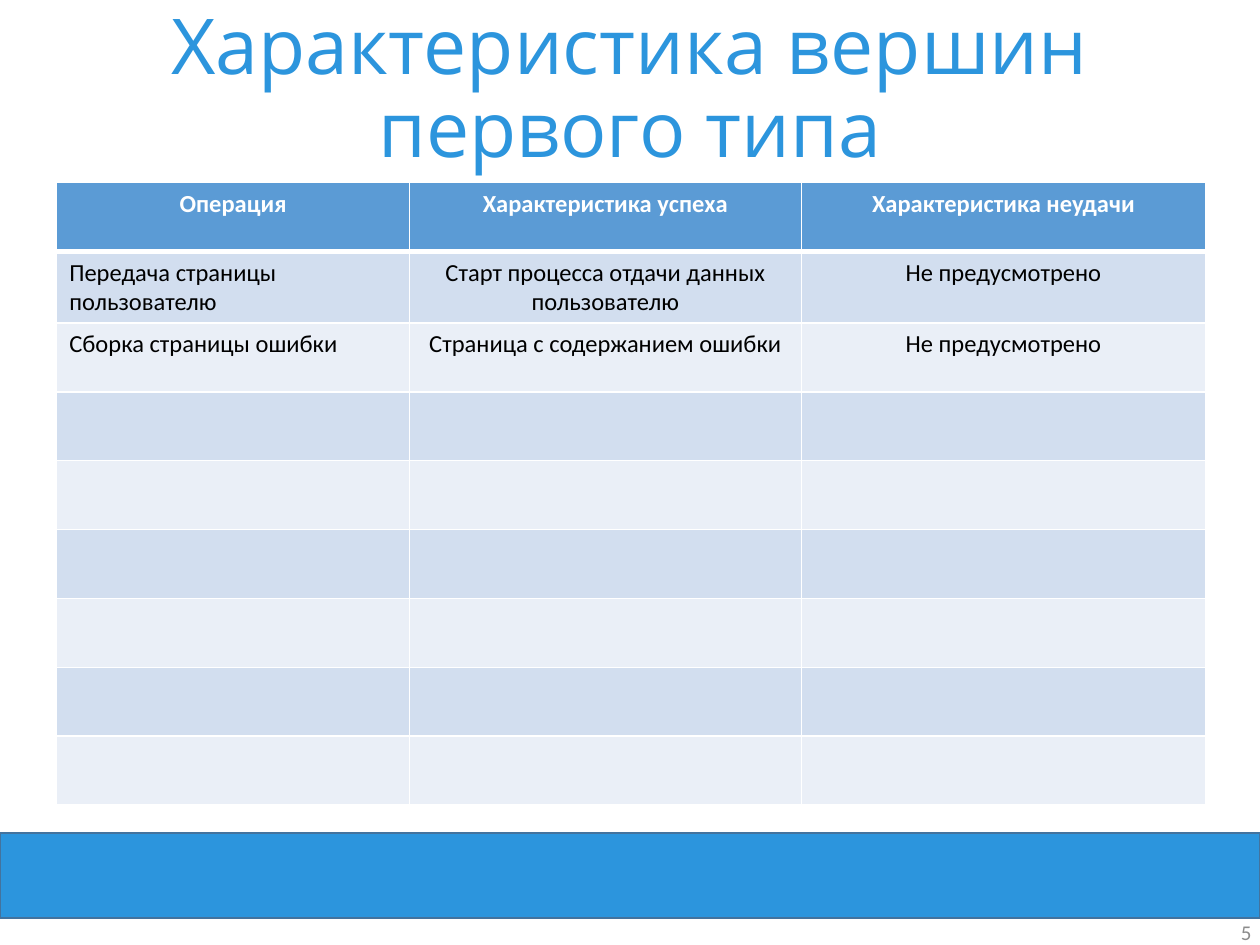
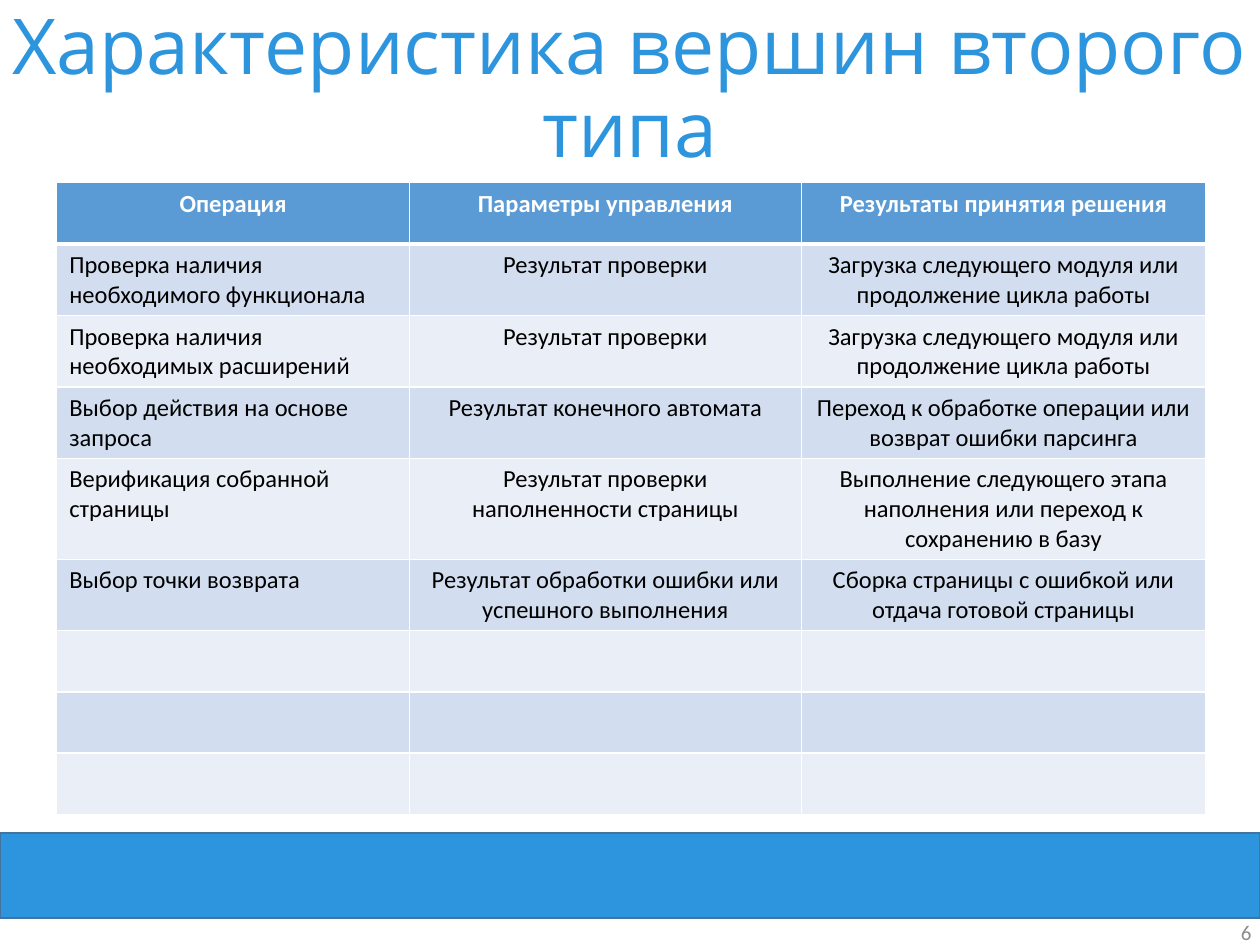
from pptx import Presentation
from pptx.dml.color import RGBColor
from pptx.enum.shapes import MSO_SHAPE as SHAPE
from pptx.enum.text import MSO_ANCHOR as ANCHOR, PP_ALIGN as ALIGN
from pptx.oxml.ns import qn
from pptx.util import Pt
from lxml import etree

WHITE, BLACK, GREY = "FFFFFF", "000000", "8C8C8C"
BLUE, BAND_LINE, HEADER = "2C95DD", "43739E", "5B9BD5"
STRIPES = ("EAEFF7", "D2DEEF")
TITLE_FONT, BODY_FONT = "Open Sans", "Calibri"
SLIDE_W, SLIDE_H = 720, 540
TABLE_LEFT, TABLE_TOP = 32.4, 104.4
COLUMNS = (201.6, 223.92, 231.12)
ROW_COUNT = 9

FIRST_TYPE = [
    ("Операция", "Характеристика успеха", "Характеристика неудачи"),
    ("Передача страницы пользователю",
     "Старт процесса отдачи данных пользователю", "Не предусмотрено"),
    ("Сборка страницы ошибки", "Страница с содержанием ошибки",
     "Не предусмотрено"),
]
NEXT_MODULE = "Загрузка следующего модуля или продолжение цикла работы"
SECOND_TYPE = [
    ("Операция", "Параметры управления", "Результаты принятия решения"),
    ("Проверка наличия необходимого функционала", "Результат проверки",
     NEXT_MODULE),
    ("Проверка наличия необходимых расширений", "Результат проверки",
     NEXT_MODULE),
    ("Выбор действия на основе запроса", "Результат конечного автомата",
     "Переход к обработке операции или возврат ошибки парсинга"),
    ("Верификация собранной страницы",
     "Результат проверки наполненности страницы",
     "Выполнение следующего этапа наполнения или переход к сохранению в базу"),
    ("Выбор точки возврата",
     "Результат обработки ошибки или успешного выполнения",
     "Сборка страницы с ошибкой или отдача готовой страницы"),
]


def rgb(color):
    """Turn a hex string into a colour."""
    return RGBColor.from_string(color)


def style(p, font, size, color, align, bold=False):
    """Set the font and alignment of a paragraph."""
    p.alignment = align
    p.font.name, p.font.size, p.font.bold = font, Pt(size), bold
    p.font.color.rgb = rgb(color)


def add_text(s, box, text, font, size, color, align):
    """Add a vertically centred text box and return its paragraph."""
    tf = s.shapes.add_textbox(*map(Pt, box)).text_frame
    tf.word_wrap = True
    tf.vertical_anchor = ANCHOR.MIDDLE
    p = tf.paragraphs[0]
    p.text = text
    style(p, font, size, color, align)
    return p


def add_frame(s, title, number):
    """Add the page number, bottom band and title of a slide."""
    add_text(s, (506.2, 518.4, 216, 28.8), str(number),
             BODY_FONT, 12, GREY, ALIGN.RIGHT)
    band = s.shapes.add_shape(SHAPE.RECTANGLE, 0, Pt(475.9),
                              Pt(SLIDE_W), Pt(48.6))
    band.shadow.inherit = False
    band.fill.solid()
    band.fill.fore_color.rgb = rgb(BLUE)
    band.line.color.rgb = rgb(BAND_LINE)
    band.line.width = Pt(1)
    p = add_text(s, (0, 0, SLIDE_W, TABLE_TOP), title,
                 TITLE_FONT, 44, BLUE, ALIGN.CENTER)
    p.line_spacing = 0.9


def set_borders(cell, top, bottom):
    """Draw white borders, with the given top and bottom widths."""
    tc_pr = cell._tc.get_or_add_tcPr()
    for side, width in (("L", 1), ("R", 1), ("T", top), ("B", bottom)):
        ln = etree.SubElement(tc_pr, qn(f"a:ln{side}"), w=str(Pt(width)))
        fill = etree.SubElement(ln, qn("a:solidFill"))
        etree.SubElement(fill, qn("a:srgbClr"), val=WHITE)


def add_grid(s, rows, heights, total):
    """Add the striped table; rows without text stay empty."""
    frame = s.shapes.add_table(ROW_COUNT, len(COLUMNS), Pt(TABLE_LEFT),
                               Pt(TABLE_TOP), Pt(sum(COLUMNS)), Pt(total))
    table = frame.table
    for column, width in zip(table.columns, COLUMNS):
        column.width = Pt(width)
    for i, height in enumerate(heights):
        table.rows[i].height = Pt(height)
        is_header = i == 0
        for j in range(len(COLUMNS)):
            cell = table.cell(i, j)
            set_borders(cell, 3 if i == 1 else 1, 3 if is_header else 1)
            cell.fill.solid()
            cell.fill.fore_color.rgb = rgb(HEADER if is_header
                                           else STRIPES[i % 2])
            if i < len(rows):
                cell.text = rows[i][j]
                centred = is_header or j > 0
                style(cell.text_frame.paragraphs[0], BODY_FONT, 14,
                      WHITE if is_header else BLACK,
                      ALIGN.CENTER if centred else ALIGN.LEFT, is_header)
    frame.height = Pt(total)


def main():
    """Build both slides and save them."""
    prs = Presentation()
    prs.slide_width, prs.slide_height = Pt(SLIDE_W), Pt(SLIDE_H)
    even = [39.36] * ROW_COUNT
    fitted = [35, 37.4, 37.4, 37.4, 53.3, 37.4, 35, 35, 35]
    slides = [
        ("Характеристика вершин первого типа", FIRST_TYPE, even, 354.24),
        ("Характеристика вершин второго типа", SECOND_TYPE, fitted, 360),
    ]
    for number, (title, rows, heights, total) in enumerate(slides, 5):
        s = prs.slides.add_slide(prs.slide_layouts[6])
        add_frame(s, title, number)
        add_grid(s, rows, heights, total)
    prs.save("out.pptx")


main()
